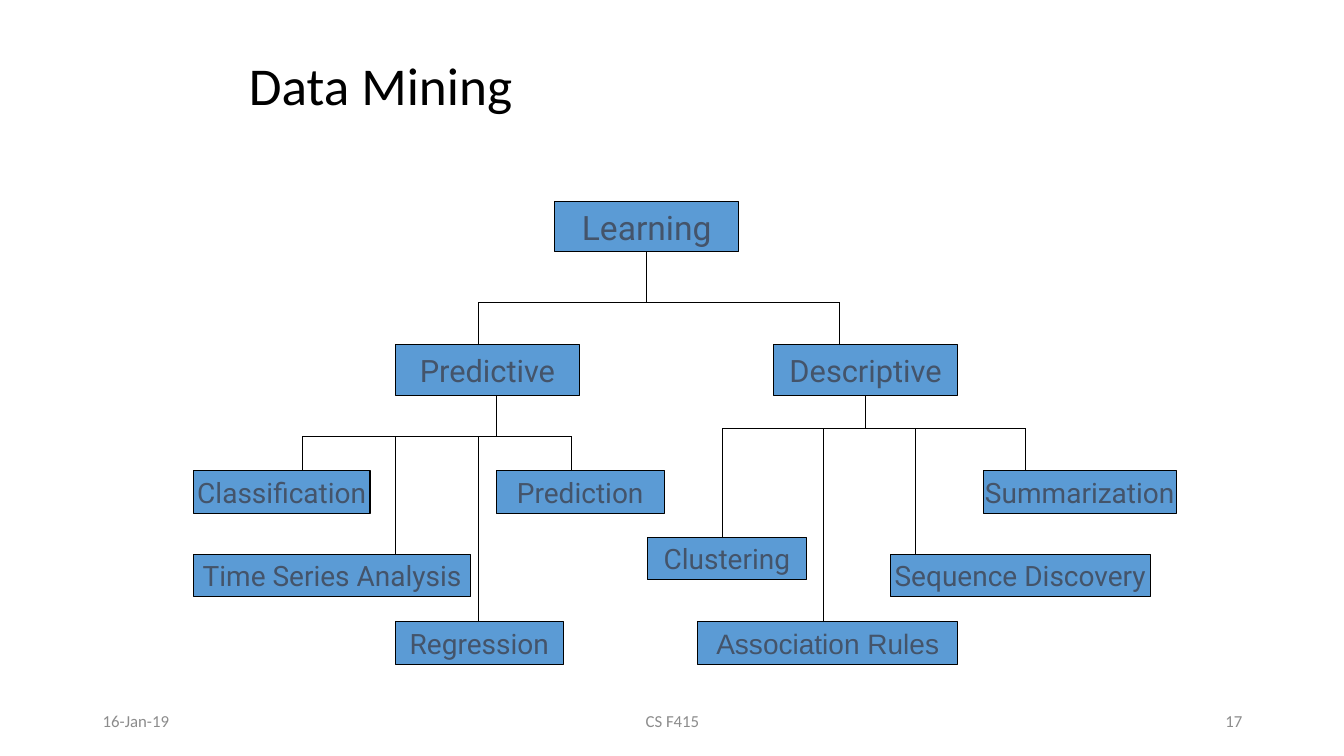
"""Build the Data Mining slide: a tree of learning tasks with a title and footer."""
import pptx
import pptx.dml.color
import pptx.enum.shapes
import pptx.enum.text
import pptx.oxml.ns
import pptx.util
from lxml import etree

Inches = pptx.util.Inches
Pt = pptx.util.Pt
ALIGN = pptx.enum.text.PP_ALIGN

THEME = {
    "fill": "5B9BD5", "line": "000000", "label": "44546A", "title": "000000", "footer": "8C8C8C",
    "title_font": "Calibri", "label_font": "Roboto", "title_size": 38, "footer_size": 12,
    "line_width": 0.75,
}

LEVELS = {
    "root": {"height": 0.5, "size": 24},
    "group": {"height": 0.5, "size": 22},
    "leaf": {"height": 0.42, "size": 20},
}

NODES = [
    ("Learning", "root", 5.5, 2, 1.83),
    ("Predictive", "group", 3.92, 3.42, 1.83),
    ("Descriptive", "group", 7.67, 3.42, 1.83),
    ("Classification", "leaf", 1.92, 4.67, 1.75),
    ("Time Series Analysis", "leaf", 1.92, 5.5, 2.75),
    ("Regression", "leaf", 3.92, 6.17, 1.67),
    ("Prediction", "leaf", 4.92, 4.67, 1.67),
    ("Clustering", "leaf", 6.42, 5.33, 1.58),
    ("Association Rules", "leaf", 6.92, 6.17, 2.58),
    ("Sequence Discovery", "leaf", 8.83, 5.5, 2.58),
    ("Summarization", "leaf", 9.75, 4.67, 1.92),
]
FONT_EXCEPTIONS = {"Association Rules": "Arial"}

BRANCHES = [
    ("Learning", 6.42, 3, {"Predictive": 4.75, "Descriptive": 8.33}),
    ("Predictive", 4.92, 4.33, {"Classification": 3, "Time Series Analysis": 3.92,
                                "Regression": 4.75, "Prediction": 5.67}),
    ("Descriptive", 8.58, 4.25, {"Clustering": 7.17, "Association Rules": 8.17,
                                 "Sequence Discovery": 9.08, "Summarization": 10.17}),
]

TITLE = (" Data Mining", 2.25, 0.42, 3.42, 0.92)
FOOTERS = [
    ("16-Jan-19", 0.92, 3, ALIGN.LEFT),
    ("CS F415", 4.42, 4.5, ALIGN.CENTER),
    ("17", 9.42, 3, ALIGN.RIGHT),
]
FOOTER_TOP, FOOTER_HEIGHT = 6.95, 0.4


def color(name):
    return pptx.dml.color.RGBColor.from_string(THEME[name])


def write(shape, text, size, font, color_name, align, wrap=True):
    frame = shape.text_frame
    frame.word_wrap = wrap
    frame.vertical_anchor = pptx.enum.text.MSO_ANCHOR.MIDDLE
    para = frame.paragraphs[0]
    para.alignment = align
    span = para.add_run()
    span.text = text
    span.font.size = Pt(size)
    span.font.name = font
    span.font.color.rgb = color(color_name)
    return para


def style_line(line):
    line.color.rgb = color("line")
    line.width = Pt(THEME["line_width"])


def add_text(page, text, left, top, width, height, size, color_name, align):
    box = page.shapes.add_textbox(Inches(left), Inches(top), Inches(width), Inches(height))
    return write(box, text, size, THEME["title_font"], color_name, align)


def add_node(page, text, level, left, top, width):
    box = page.shapes.add_shape(
        pptx.enum.shapes.MSO_SHAPE.RECTANGLE,
        Inches(left), Inches(top), Inches(width), Inches(LEVELS[level]["height"]))
    box.shadow.inherit = False
    box.fill.solid()
    box.fill.fore_color.rgb = color("fill")
    style_line(box.line)
    font = FONT_EXCEPTIONS.get(text, THEME["label_font"])
    write(box, text, LEVELS[level]["size"], font, "label", ALIGN.CENTER, wrap=False)
    return box


def add_line(page, x1, y1, x2, y2):
    line = page.shapes.add_connector(
        pptx.enum.shapes.MSO_CONNECTOR.STRAIGHT, int(x1), int(y1), int(x2), int(y2))
    style_line(line.line)
    properties = line._element.spPr
    etree.SubElement(properties, pptx.oxml.ns.qn("a:effectLst"))
    return line


def add_branch(page, boxes, parent, stem_x, bar_y, children):
    source = boxes[parent]
    stem, bar = Inches(stem_x), Inches(bar_y)
    trunk = add_line(page, stem, source.top + source.height, stem, bar)
    if abs(source.left + source.width / 2 - stem) < Inches(0.02):
        trunk.begin_connect(source, 2)
        trunk.end_x = trunk.begin_x
    add_line(page, Inches(min(children.values())), bar, Inches(max(children.values())), bar)
    for child, x in children.items():
        add_line(page, Inches(x), bar, Inches(x), boxes[child].top)


def main():
    deck = pptx.Presentation()
    deck.slide_width, deck.slide_height = Inches(13.33), Inches(7.5)
    page = deck.slides.add_slide(deck.slide_layouts[6])
    title = add_text(page, *TITLE, THEME["title_size"], "title", ALIGN.LEFT)
    title.line_spacing = 0.9
    boxes = {node[0]: add_node(page, *node) for node in NODES}
    for branch in BRANCHES:
        add_branch(page, boxes, *branch)
    for text, left, width, align in FOOTERS:
        add_text(page, text, left, FOOTER_TOP, width, FOOTER_HEIGHT,
                 THEME["footer_size"], "footer", align)
    deck.save("out.pptx")


if __name__ == "__main__":
    main()
